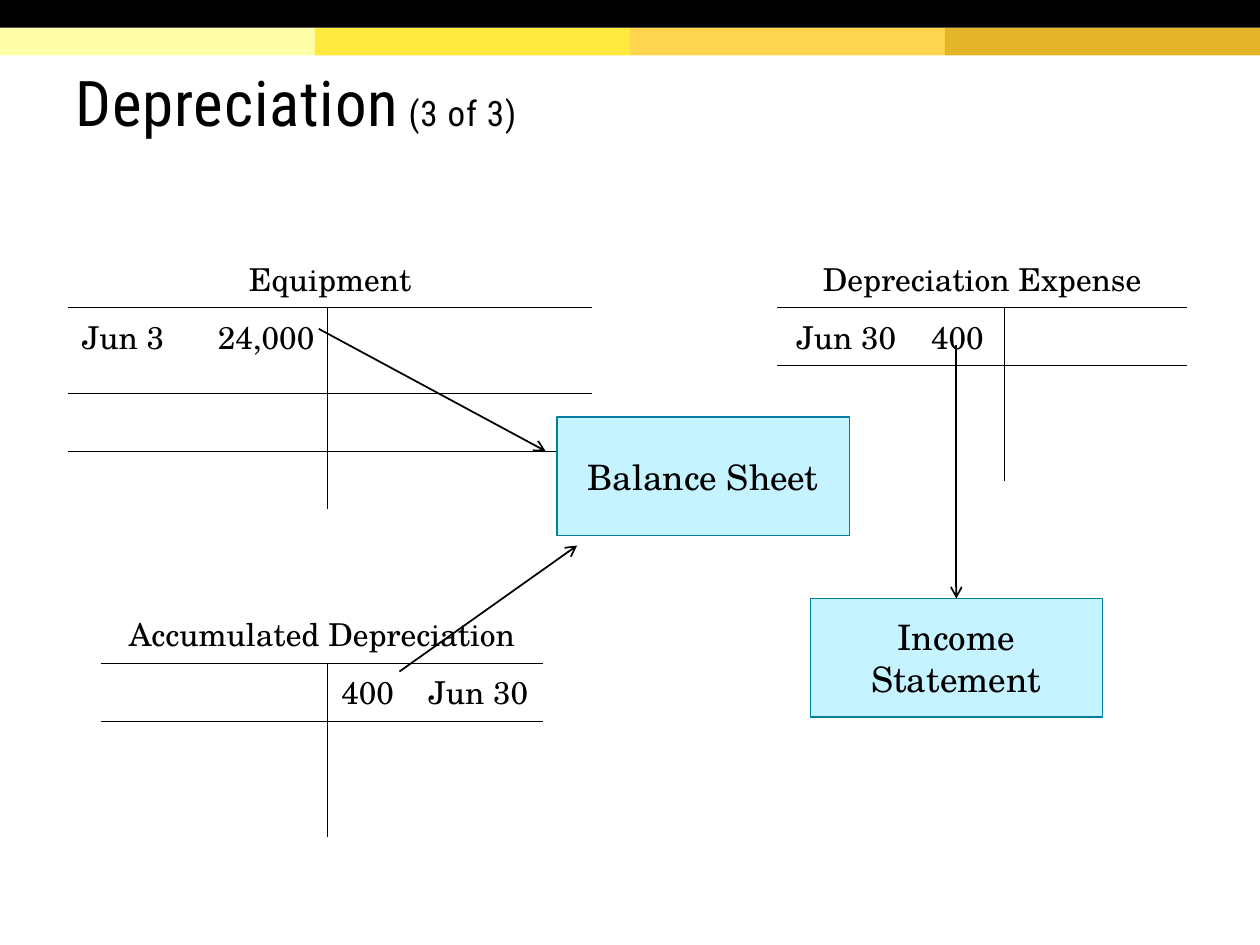
import pptx
import pptx.util
import pptx.dml.color
import pptx.enum.shapes
import pptx.enum.text
import pptx.oxml
import pptx.oxml.ns
from lxml import etree

Pt, In = pptx.util.Pt, pptx.util.Inches
PP = pptx.enum.text.PP_ALIGN
MIDDLE = pptx.enum.text.MSO_ANCHOR.MIDDLE
qn = pptx.oxml.ns.qn

W, H = 10, 7.5
BAR_H = 0.22
ROW_H = 0.46
BOX_W, BOX_H = 2.32, 0.94
HEAD, BODY = "Roboto Condensed", "TeX Gyre Schola"
COLORS = {"ink": "000000", "box": "C5F3FF", "edge": "007FA3"}
BANDS = ["FFFFAA", "FFEA3D", "FFD54F", "E4B429"]
TITLE = [("Depreciation", 36), (" (3 of 3)", 20)]

# rules: number of rows with a line beneath; indent and tab place the entry's two parts
ACCOUNTS = [
    dict(name="Equipment", at=(0.54, 1.98), cols=(2.06, 2.1), entry_h=0.68, rules=3,
         side=0, entry=("Jun 3", "24,000"), indent=0.11, tab=1.08),
    dict(name="Accumulated Depreciation", at=(0.8, 4.8), cols=(1.8, 1.71), entry_h=ROW_H, rules=2,
         side=1, entry=("400", "Jun 30"), indent=0.11, tab=0.69),
    dict(name="Depreciation Expense", at=(6.17, 1.98), cols=(1.8, 1.45), entry_h=ROW_H, rules=2,
         side=0, entry=("Jun 30", "400"), indent=0.15, tab=1.07),
]
STATEMENTS = [("Balance Sheet", 4.42, 3.31), ("Income Statement", 6.43, 4.75)]
ARROWS = [((2.53, 2.61), (4.33, 3.58)), ((3.17, 5.33), (4.58, 4.33)),
          ((6.43 + BOX_W / 2, 2.74), (6.43 + BOX_W / 2, 4.75))]


def rgb(value):
    return pptx.dml.color.RGBColor.from_string(value)


def style(font, size, name=BODY):
    font.size, font.name, font.bold = Pt(size), name, False
    font.color.rgb = rgb(COLORS["ink"])


def rect(s, x, y, w, h, fill, edge=None):
    sp = s.shapes.add_shape(pptx.enum.shapes.MSO_SHAPE.RECTANGLE, In(x), In(y), In(w), In(h))
    sp.shadow.inherit = False
    sp.fill.solid()
    sp.fill.fore_color.rgb = rgb(fill)
    if edge:
        sp.line.color.rgb = rgb(edge)
        sp.line.width = Pt(0.75)
    else:
        sp.line.fill.background()
    return sp


def set_borders(cell, shown):
    """Draw the sides named in shown (letters from LRTB) and clear the others."""
    tcPr = cell._tc.get_or_add_tcPr()
    for i, side in enumerate("LRTB"):
        ln = etree.Element(qn("a:ln" + side), w=str(Pt(0.25)))
        if side in shown:
            fill = etree.SubElement(ln, qn("a:solidFill"))
            etree.SubElement(fill, qn("a:srgbClr"), val=COLORS["ink"])
        else:
            etree.SubElement(ln, qn("a:noFill"))
        tcPr.insert(i, ln)


def add_account(s, acc):
    heights = [ROW_H, acc["entry_h"], ROW_H, ROW_H]
    x, y = acc["at"]
    tb = s.shapes.add_table(len(heights), 2, In(x), In(y), In(sum(acc["cols"])), In(sum(heights))).table
    tb.first_row = tb.horz_banding = False
    for column, width in zip(tb.columns, acc["cols"]):
        column.width = In(width)
    for r, height in enumerate(heights):
        tb.rows[r].height = In(height)
        for c in range(2):
            cell = tb.cell(r, c)
            cell.fill.background()
            shown = "RL"[c] if r else ""
            shown += "T" if 0 < r <= acc["rules"] else ""
            shown += "B" if r < acc["rules"] else ""
            set_borders(cell, shown)
            p = cell.text_frame.paragraphs[0]
            if (r, c) == (1, acc["side"]):
                cell.margin_left, cell.margin_right = In(acc["indent"]), 0
                p.text = "\t".join(acc["entry"])
                tabs = etree.SubElement(p._p.get_or_add_pPr(), qn("a:tabLst"))
                etree.SubElement(tabs, qn("a:tab"), pos=str(In(acc["tab"])), algn="l")
            elif (r, c) == (0, 0):
                p.text = acc["name"]
                p.alignment = PP.CENTER
            style(p.font, 18)
    tb.cell(0, 0).merge(tb.cell(0, 1))


def add_statement(s, text, x, y):
    sp = rect(s, x, y, BOX_W, BOX_H, COLORS["box"], COLORS["edge"])
    tf = sp.text_frame
    tf.word_wrap, tf.vertical_anchor = True, MIDDLE
    p = tf.paragraphs[0]
    p.text, p.alignment = text, PP.CENTER
    style(p.font, 20)
    return sp


def add_arrow(s, start, end):
    cn = s.shapes.add_connector(pptx.enum.shapes.MSO_CONNECTOR.STRAIGHT, *map(In, start + end))
    cn.line.color.rgb = rgb(COLORS["ink"])
    cn.line.width = Pt(1)
    etree.SubElement(cn.line._get_or_add_ln(), qn("a:tailEnd"), type="arrow")
    etree.SubElement(cn._element.spPr, qn("a:effectLst"))
    return cn


def add_title(s):
    tf = s.shapes.add_textbox(In(0.5), In(0.23), In(9), In(1.2)).text_frame
    tf.word_wrap, tf.vertical_anchor = True, MIDDLE
    tf.margin_top = In(0.1)
    p = tf.paragraphs[0]
    p.line_spacing = 0.85
    for text, size in TITLE:
        r = p.add_run()
        r.text = text
        style(r.font, size, HEAD)
        r._r.get_or_add_rPr().set("spc", "50")


def main():
    prs = pptx.Presentation()
    prs.slide_width, prs.slide_height = In(W), In(H)
    s = prs.slides.add_slide(prs.slide_layouts[6])
    band_w = W / len(BANDS)
    for i, color in enumerate(BANDS):
        rect(s, i * band_w, BAR_H, band_w, BAR_H, color)
    rect(s, 0, 0, W, BAR_H, COLORS["ink"])
    add_title(s)
    for acc in ACCOUNTS:
        add_account(s, acc)
    boxes = [add_statement(s, *item) for item in STATEMENTS]
    arrows = [add_arrow(s, *ends) for ends in ARROWS]
    arrows[-1].end_connect(boxes[-1], 0)
    prs.save("out.pptx")


if __name__ == "__main__":
    main()
